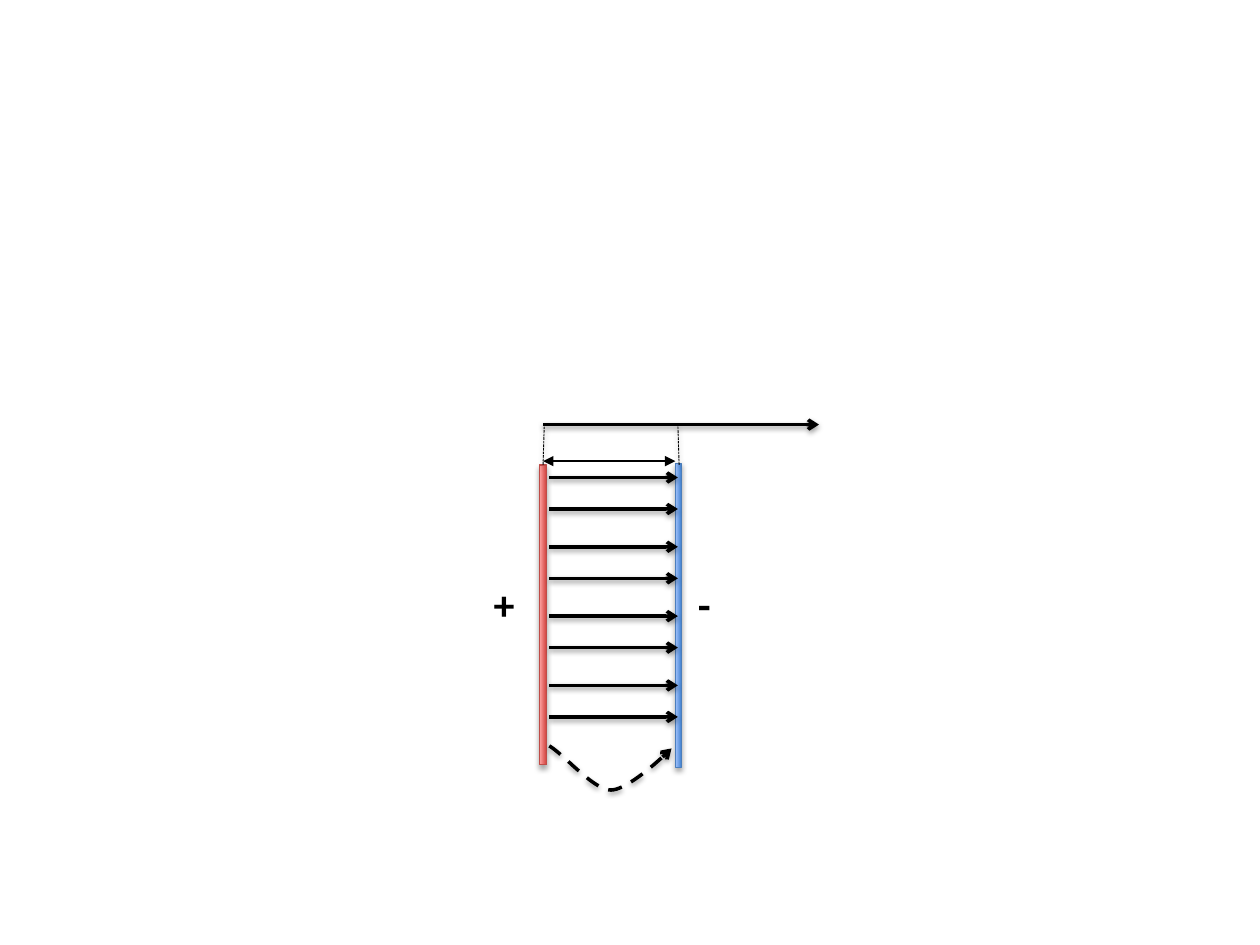
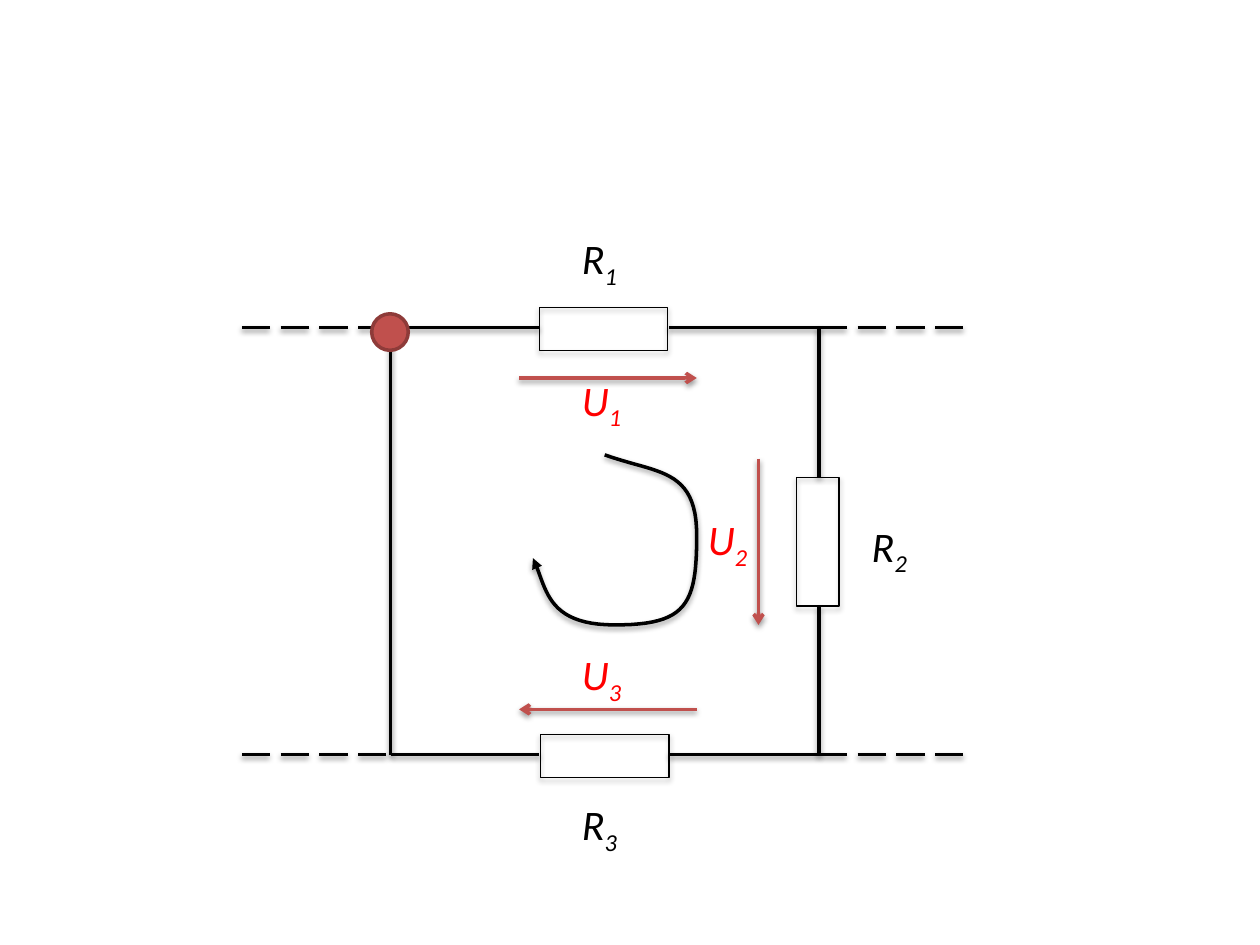
from lxml import etree
from pptx import Presentation
from pptx.dml.color import RGBColor
from pptx.enum import dml, shapes, text
from pptx.oxml.ns import qn
from pptx.util import Inches, Pt

BLACK = RGBColor(0x00, 0x00, 0x00)
RED = RGBColor(0xFF, 0x00, 0x00)
BRICK = RGBColor(0xC0, 0x50, 0x4D)
DARK_BRICK = RGBColor(0x8E, 0x3B, 0x39)
PLUS_DARK, PLUS_LIGHT = RGBColor(0xD1, 0x40, 0x3C), RGBColor(0xFF, 0xA6, 0xA5)
PLUS_EDGE = RGBColor(0xBF, 0x4C, 0x48)
MINUS_DARK, MINUS_LIGHT = RGBColor(0x3F, 0x80, 0xCE), RGBColor(0xA4, 0xC4, 0xFF)
MINUS_EDGE = RGBColor(0x4B, 0x7E, 0xBC)
FONT = "Calibri"
CURVE_STEPS = 24


def style_outline(shape, color=BLACK, width=2, dash=None, head=None, tail=None,
                  shadow=(1.6, 38)):
    """Set line, arrowheads and shadow; shadow is (distance in points, opacity in percent)."""
    shape.line.color.rgb = color
    shape.line.width = Pt(width)
    if dash:
        shape.line.dash_style = dash
    properties = shape._element.spPr
    outline = properties.find(qn("a:ln"))
    for tag, arrow in (("a:headEnd", head), ("a:tailEnd", tail)):
        if arrow:
            etree.SubElement(outline, qn(tag), type=arrow)
    effects = etree.SubElement(properties, qn("a:effectLst"))
    if shadow:
        distance, opacity = shadow
        outer = etree.SubElement(effects, qn("a:outerShdw"), blurRad=str(Pt(3.1)),
                                 dist=str(Pt(distance)), dir="5400000", rotWithShape="0")
        shade = etree.SubElement(outer, qn("a:srgbClr"), val=str(BLACK))
        etree.SubElement(shade, qn("a:alpha"), val=str(opacity * 1000))


def add_text(slide, label, left, top, width, subscript="", color=BLACK,
             bold=False, italic=False):
    box = slide.shapes.add_textbox(Inches(left), Inches(top), Inches(width), Inches(0.5))
    box.text_frame.word_wrap = False
    box.text_frame.auto_size = text.MSO_AUTO_SIZE.SHAPE_TO_FIT_TEXT
    paragraph = box.text_frame.paragraphs[0]
    for part in filter(None, (label, subscript)):
        run = paragraph.add_run()
        run.text = part
        run.font.name, run.font.size = FONT, Pt(24)
        run.font.bold, run.font.italic = bold, italic
        run.font.color.rgb = color
        if part == subscript:
            run.font._element.set("baseline", "-25000")


presentation = Presentation()
presentation.slide_width, presentation.slide_height = Inches(10), Inches(7.5)
blank = presentation.slide_layouts[6]
capacitor = presentation.slides.add_slide(blank)
circuit = presentation.slides.add_slide(blank)

# Capacitor plates, drawn flat and turned upright
plates = [
    (3.12, 4.85, 2.38, 0.06, PLUS_DARK, PLUS_LIGHT, PLUS_EDGE),
    (4.18, 4.86, 2.41, 0.05, MINUS_DARK, MINUS_LIGHT, MINUS_EDGE),
]
for left, top, length, thickness, dark, light, edge in plates:
    plate = capacitor.shapes.add_shape(
        shapes.MSO_SHAPE.RECTANGLE, Inches(left), Inches(top), Inches(length), Inches(thickness))
    plate.rotation = 270
    plate.fill.gradient()
    plate.fill.gradient_angle = 90
    for stop, color in zip(plate.fill.gradient_stops, (dark, light)):
        stop.color.rgb = color
    style_outline(plate, color=edge, width=0.75, shadow=(1.8, 35))

# Resistors on three sides of the loop
LEFT, RIGHT, TOP, BOTTOM = 3.1, 6.5, 2.6, 5.99
resistors = [(4.28, 2.44, 1.02, 0.34), (6.32, 3.79, 0.34, 1.02), (4.29, 5.83, 1.02, 0.34)]
for box in resistors:
    resistor = circuit.shapes.add_shape(shapes.MSO_SHAPE.RECTANGLE, *map(Inches, box))
    resistor.fill.background()
    style_outline(resistor, width=0.75, shadow=(1.8, 35))

# Straight lines: slide, start, end, format
lines = [
    (capacitor, (4.31, 3.66), (5.36, 3.66),
     dict(width=0.75, head="triangle", tail="triangle", shadow=None)),
    (capacitor, (4.31, 3.37), (6.5, 3.37), dict(tail="arrow")),
]
for bottom_x, top_x in ((4.31, 4.32), (5.39, 5.38)):
    lines.append((capacitor, (bottom_x, 3.69), (top_x, 3.37),
                  dict(width=0.5, dash=dml.MSO_LINE.SQUARE_DOT)))
for pair in range(4):
    for first_y in (3.79, 4.04):
        y = first_y + pair * 0.55
        lines.append((capacitor, (4.36, y), (5.38, y), dict(tail="arrow")))

for y in (TOP, BOTTOM):
    for start, end in ((LEFT, 4.28), (5.31, RIGHT)):
        lines.append((circuit, (start, y), (end, y), {}))
    for start, end in ((1.92, LEFT), (RIGHT, 7.68)):
        lines.append((circuit, (start, y), (end, y), dict(dash=dml.MSO_LINE.LONG_DASH)))
for x, start, end in ((LEFT, TOP, BOTTOM), (RIGHT, TOP, 3.79), (RIGHT, 4.81, BOTTOM)):
    lines.append((circuit, (x, start), (x, end), {}))
for start, end in (((4.12, 3), (5.53, 3)), ((5.53, 5.63), (4.12, 5.63)),
                   ((6.02, 3.64), (6.02, 4.96))):
    lines.append((circuit, start, end, dict(color=BRICK, tail="arrow")))

for slide, start, end, look in lines:
    line = slide.shapes.add_connector(shapes.MSO_CONNECTOR.STRAIGHT,
                                      *map(Inches, start + end))
    style_outline(line, **look)

# Curved arrows: each is a chain of cubic segments sampled into short steps
curves = [
    (capacitor, [(4.36, 5.92), (4.48, 5.99), (4.71, 6.27), (4.85, 6.27),
                 (5, 6.27), (5.33, 5.94), (5.33, 5.94)],
     dict(dash=dml.MSO_LINE.DASH, tail="arrow")),
    (circuit, [(4.8, 3.61), (5.21, 3.76), (5.53, 3.71), (5.53, 4.25),
               (5.53, 4.8), (5.45, 4.96), (4.88, 4.96),
               (4.32, 4.96), (4.34, 4.65), (4.23, 4.43)],
     dict(tail="triangle")),
]
for slide, controls, look in curves:
    points = []
    for first in range(0, len(controls) - 1, 3):
        segment = controls[first:first + 4]
        for step in range(1, CURVE_STEPS + 1):
            t = step / CURVE_STEPS
            weights = ((1 - t) ** 3, 3 * t * (1 - t) ** 2, 3 * t ** 2 * (1 - t), t ** 3)
            points.append(tuple(
                Inches(sum(weight * point[axis] for weight, point in zip(weights, segment)))
                for axis in (0, 1)))
    builder = slide.shapes.build_freeform(*map(Inches, controls[0]))
    builder.add_line_segments(points, close=False)
    curve = builder.convert_to_shape()
    curve.fill.background()
    style_outline(curve, **look)

# Node at the top left corner of the loop
node = circuit.shapes.add_shape(
    shapes.MSO_SHAPE.OVAL, Inches(2.95), Inches(2.49), Inches(0.29), Inches(0.29))
node.fill.solid()
node.fill.fore_color.rgb = BRICK
style_outline(node, color=DARK_BRICK, shadow=None)

# Labels
add_text(capacitor, "+", 3.82, 4.54, 0.37, bold=True)
add_text(capacitor, "-", 5.44, 4.54, 0.3, bold=True)
for letter, color, width, places in (
        ("R", BLACK, 0.57, ((4.52, 1.8), (6.82, 4.08), (4.52, 6.29))),
        ("U", RED, 0.59, ((4.52, 2.92), (5.52, 4.03), (4.52, 5.1)))):
    for number, (left, top) in enumerate(places, start=1):
        add_text(circuit, letter, left, top, width, subscript=str(number),
                 color=color, italic=True)

presentation.save("out.pptx")
